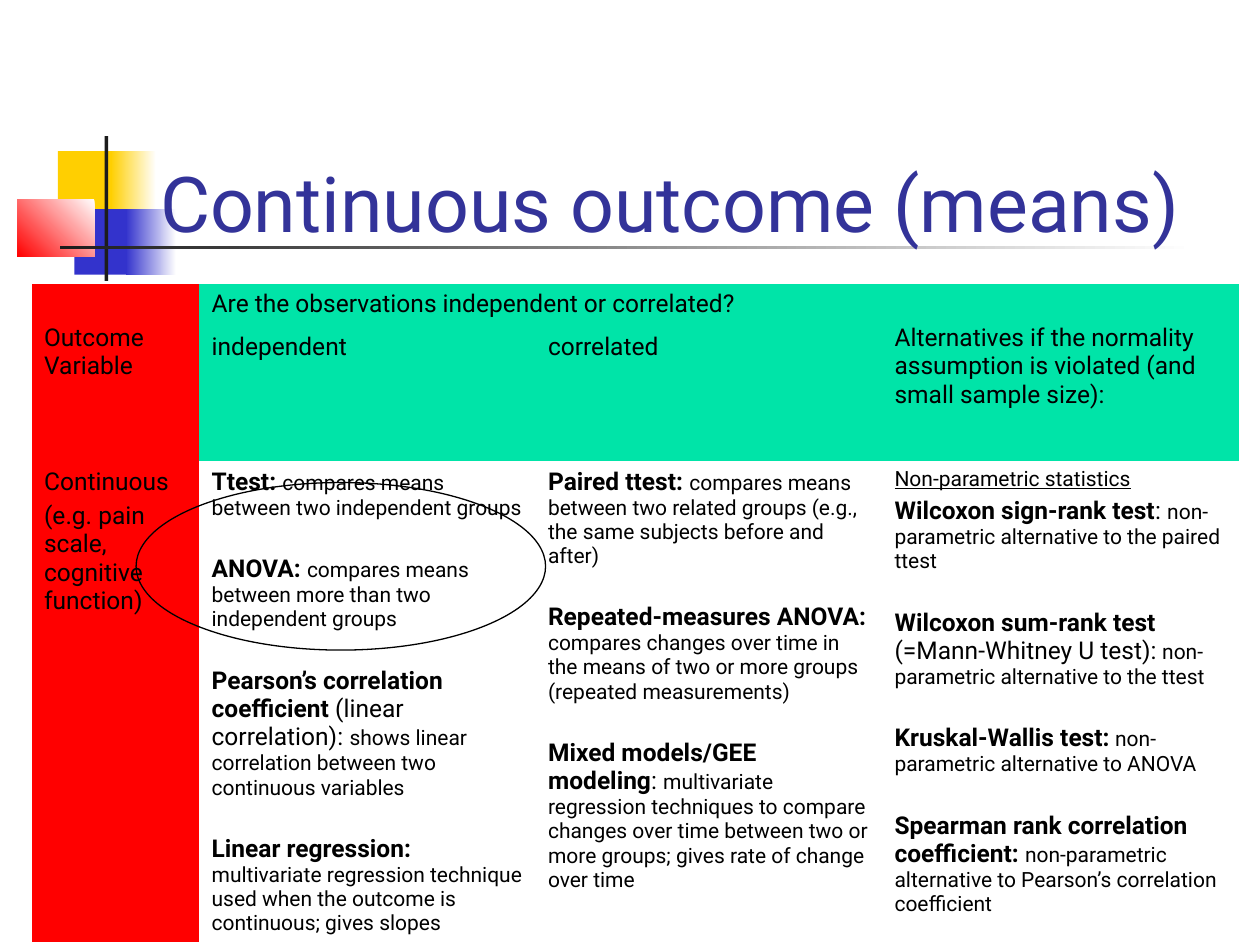
import pptx
import pptx.util
import pptx.dml.color
import pptx.enum.shapes
import pptx.enum.text

FONT = "Roboto"
BLACK, WHITE, DARK = "000000", "FFFFFF", "1C1C1C"
RED, GREEN, YELLOW, BLUE = "FF0000", "00E4A8", "FFCF01", "3333CC"
NO_STYLE_NO_GRID = "{2D5ABB26-0587-4C30-8999-92F81FD0307C}"

# Content: a cell is a list of paragraphs, a paragraph a list of (text, style) runs
TITLE = "Continuous outcome (means)"
STYLES = {
    "term": {"size": 14, "bold": True},
    "plain": {"size": 14},
    "small": {"size": 12},
    "underlined": {"size": 12, "underline": True},
}
HEADERS = [  # row, column, last row, last column, fill, top inset, paragraphs
    (0, 0, 1, 0, RED, 0.32, ["Outcome Variable"]),
    (0, 1, 0, 2, GREEN, 0.05, ["Are the observations independent or correlated?"]),
    (0, 3, 1, 3, GREEN, 0.32,
     ["Alternatives if the normality assumption is violated (and small sample size):"]),
    (1, 1, 1, 1, GREEN, 0.05, ["independent"]),
    (1, 2, 1, 2, GREEN, 0.05, ["correlated"]),
    (2, 0, 2, 0, RED, 0.05, ["Continuous", "(e.g. pain scale, cognitive function)"]),
]
INDEPENDENT = [
    [("Ttest: ", "term"), ("compares means between two independent groups", "small")],
    [("ANOVA: ", "term"),
     ("compares means between more than two independent groups", "small")],
    [("Pearson’s correlation coefficient", "term"), (" (linear correlation): ", "plain"),
     ("shows linear correlation between two continuous variables", "small")],
    [("Linear regression: ", "term"),
     ("multivariate regression technique used when the outcome is continuous; "
      "gives slopes", "small")],
]
CORRELATED = [
    [("Paired ttest: ", "term"),
     ("compares means between two related groups (e.g., the same subjects before "
      "and after)", "small")],
    [("Repeated-measures ANOVA: ", "term"),
     ("compares changes over time in the means of two or more groups "
      "(repeated measurements)", "small")],
    [("Mixed models/GEE modeling", "term"), (": ", "plain"),
     ("multivariate regression techniques to compare changes over time between two "
      "or more groups; gives rate of change over time", "small")],
]
ALTERNATIVES = [
    [("Non-parametric statistics", "underlined")],
    [("Wilcoxon sign-rank test", "term"), (": ", "plain"),
     ("non-parametric alternative to the paired ttest", "small")],
    [("Wilcoxon sum-rank test", "term"), (" (=Mann-Whitney U test):", "plain"),
     (" non-parametric alternative to the ttest", "small")],
    [("Kruskal-Wallis test:", "term"), (" non-parametric alternative to ANOVA", "small")],
    [("Spearman rank correlation coefficient: ", "term"),
     ("non-parametric alternative to Pearson’s correlation coefficient", "small")],
]
METHODS = [INDEPENDENT, CORRELATED, ALTERNATIVES]

# Layout in inches
COLUMNS = [1.33, 2.67, 2.75, 2.83]
ROWS = [0.34, 1.07, 3.82]
TABLE_LEFT, TABLE_TOP = 0.25, 2.25
ORNAMENTS = [  # box, colour, angle of the fade from white (None for solid)
    ((0.46, 1.2, 0.48, 0.52), YELLOW, None),
    ((0.88, 1.2, 0.36, 0.52), YELLOW, 180),
    ((0.59, 1.66, 0.46, 0.52), BLUE, None),
    ((1.0, 1.66, 0.4, 0.52), BLUE, 180),
    ((0.14, 1.58, 0.61, 0.46), RED, 225),
    ((0.83, 1.08, 0.03, 1.15), DARK, None),
    ((0.48, 1.95, 9.0, 0.03), DARK, 180),
]


def rgb(value):
    return pptx.dml.color.RGBColor.from_string(value)


def inches(values):
    return [pptx.util.Inches(value) for value in values]


def add_text(paragraph, text, size=14, color=BLACK, bold=False, underline=False):
    run = paragraph.add_run()
    run.text = text
    run.font.name = FONT
    run.font.size = pptx.util.Pt(size)
    run.font.bold = bold
    run.font.underline = underline
    run.font.color.rgb = rgb(color)


def add_shape(slide, kind, box):
    shape = slide.shapes.add_shape(kind, *inches(box))
    shape.shadow.inherit = False
    return shape


def add_ornament(slide, box, color, angle):
    shape = add_shape(slide, pptx.enum.shapes.MSO_SHAPE.RECTANGLE, box)
    shape.line.fill.background()
    if angle is None:
        shape.fill.solid()
        shape.fill.fore_color.rgb = rgb(color)
        return
    shape.fill.gradient()
    shape.fill.gradient_angle = angle
    for stop, position, stop_color in zip(shape.fill.gradient_stops, (0, 1), (WHITE, color)):
        stop.position = position
        stop.color.rgb = rgb(stop_color)


def fill_cell(cell, paragraphs, gap, color=None, top=0.05):
    cell.margin_top = pptx.util.Inches(top)
    if color:
        cell.fill.solid()
        cell.fill.fore_color.rgb = rgb(color)
    else:
        cell.fill.background()
    frame = cell.text_frame
    for index, runs in enumerate(paragraphs):
        paragraph = frame.add_paragraph() if index else frame.paragraphs[0]
        paragraph.line_spacing = 0.98
        # A subheading sits close to the entry below it
        follows_heading = index and paragraphs[index - 1][0][1] == "underlined"
        paragraph.space_before = pptx.util.Pt(3 if follows_heading else gap)
        for text, style in runs:
            add_text(paragraph, text, **STYLES[style])


def add_title(slide):
    title = slide.shapes.title
    title.left, title.top, title.width, title.height = inches((1.17, 0.42, 8.52, 1.6))
    frame = title.text_frame
    frame.auto_size = pptx.enum.text.MSO_AUTO_SIZE.NONE
    frame.vertical_anchor = pptx.enum.text.MSO_ANCHOR.BOTTOM
    frame.paragraphs[0].alignment = pptx.enum.text.PP_ALIGN.LEFT
    add_text(frame.paragraphs[0], TITLE, size=44, color="333399")


def add_test_table(slide):
    box = inches((TABLE_LEFT, TABLE_TOP, sum(COLUMNS), sum(ROWS)))
    frame = slide.shapes.add_table(len(ROWS), len(COLUMNS), *box)
    table = frame.table
    table.first_row = table.horz_banding = False
    frame._element.xpath(".//a:tableStyleId")[0].text = NO_STYLE_NO_GRID
    for column, width in zip(table.columns, inches(COLUMNS)):
        column.width = width
    for row, height in zip(table.rows, inches(ROWS)):
        row.height = height
    for row, column, last_row, last_column, color, top, lines in HEADERS:
        cell = table.cell(row, column)
        if (row, column) != (last_row, last_column):
            cell.merge(table.cell(last_row, last_column))
        fill_cell(cell, [[(line, "plain")] for line in lines], 3.5, color, top)
    for column, paragraphs in enumerate(METHODS, start=1):
        fill_cell(table.cell(2, column), paragraphs, gap=20)


def main():
    presentation = pptx.Presentation()
    presentation.slide_width, presentation.slide_height = inches((10, 7.5))
    slide = presentation.slides.add_slide(presentation.slide_layouts[5])
    for ornament in ORNAMENTS:
        add_ornament(slide, *ornament)
    # Bring the title in front of the ornaments
    slide.shapes._spTree.append(slide.shapes.title._element)
    add_title(slide)
    add_test_table(slide)
    # Ring around the tests for independent groups
    ring = add_shape(slide, pptx.enum.shapes.MSO_SHAPE.OVAL, (1.08, 3.83, 3.25, 1.33))
    ring.fill.background()
    ring.line.color.rgb = rgb(BLACK)
    ring.line.width = pptx.util.Pt(0.75)
    presentation.save("out.pptx")


if __name__ == "__main__":
    main()
